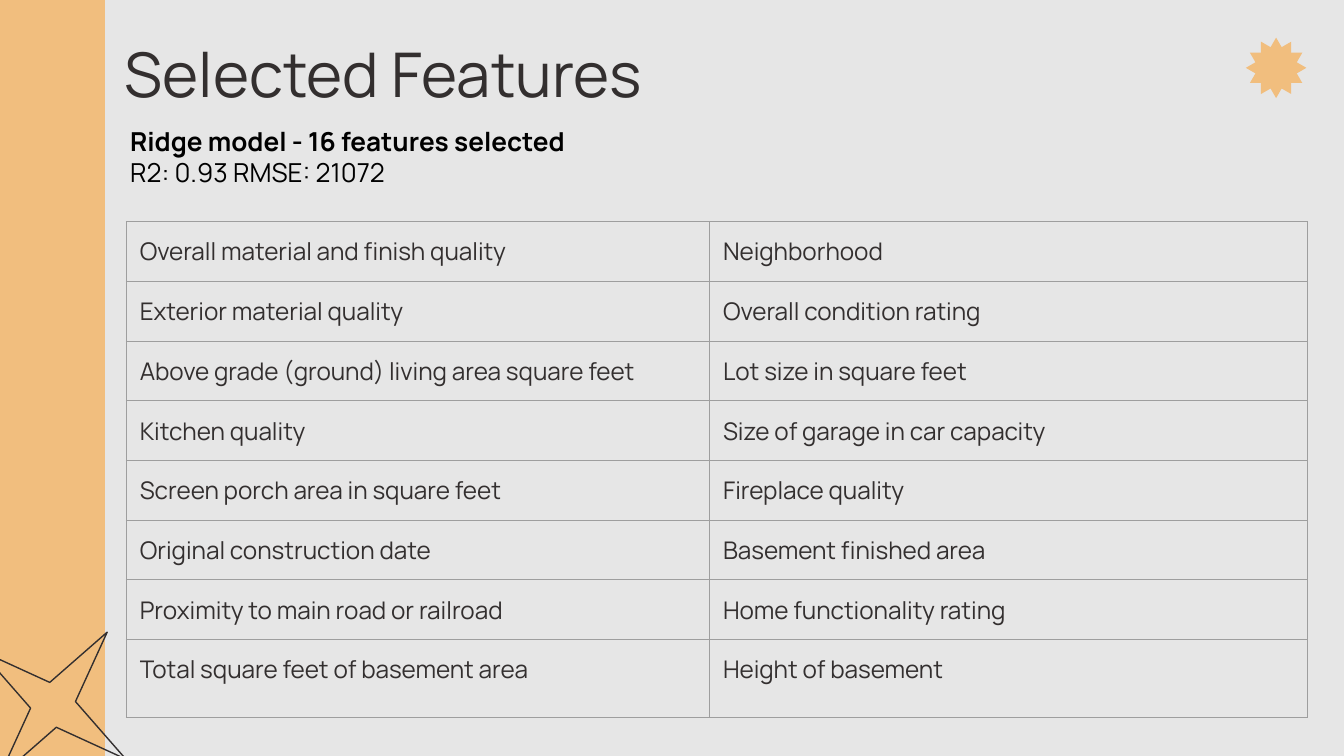
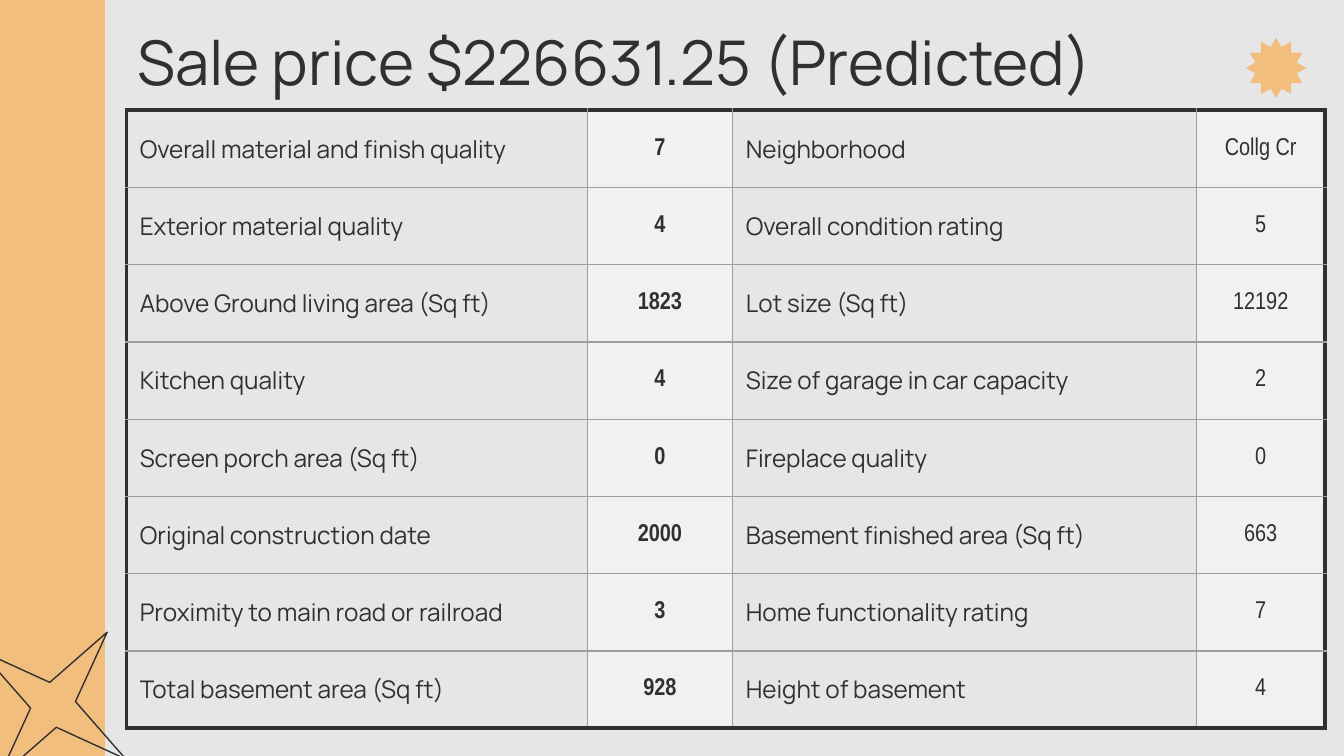
"""Build two slides on house price features: the selected list and one predicted sale."""
from dataclasses import dataclass

from lxml.etree import SubElement
from pptx import Presentation
from pptx.dml.color import RGBColor as Color
from pptx.enum.shapes import MSO_SHAPE as Shape
from pptx.enum.text import MSO_ANCHOR as Anchor, MSO_AUTO_SIZE as AutoSize, PP_ALIGN as Align
from pptx.oxml import parse_xml
from pptx.oxml.ns import nsdecls, qn
from pptx.util import Inches, Pt


@dataclass(frozen=True)
class Theme:
    paper: str = "E6E6E6"
    accent: str = "F1BE7E"
    ink: str = "332F2F"
    black: str = "000000"
    white: str = "FFFFFF"
    rule: str = "9E9E9E"
    body_font: str = "Manrope"
    value_font: str = "Arial Narrow"
    title_size: float = 33
    subtitle_size: float = 14
    cell_size: float = 13
    thin: float = 0.75
    thick: float = 2.25
    inset: float = 0.1
    value_opacity: int = 45


theme = Theme()
page_width = 10
page_height = page_width * 9 / 16


def write(para, text, size, color=theme.ink, **format_values):
    span = para.add_run()
    span.text = text
    values = {"name": theme.body_font, "size": Pt(size), "bold": False} | format_values
    for name, value in values.items():
        setattr(span.font, name, value)
    span.font.color.rgb = Color.from_string(color)


def set_values(target, values):
    for name, value in values.items():
        setattr(target, name, value)


margins = {f"margin_{side}": Inches(theme.inset) for side in ("left", "right", "top", "bottom")}

pages = [
    {
        "title": "Selected Features",
        "title_at": (0.83, 0.23),
        "subtitle": [("Ridge model - 16 features selected", True), ("R2: 0.93 RMSE: 21072", False)],
        "table_at": (0.94, 1.65),
        "columns": [4.34, 4.45],
        "row_heights": [3.11 / 7] * 7 + [0.58],
        "anchor": Anchor.TOP,
        "value_columns": {},
        "frame": theme.rule,
        "frame_width": theme.thin,
        "rows": [
            ("Overall material and finish quality", "Neighborhood"),
            ("Exterior material quality", "Overall condition rating"),
            ("Above grade (ground) living area square feet", "Lot size in square feet"),
            ("Kitchen quality", "Size of garage in car capacity"),
            ("Screen porch area in square feet", "Fireplace quality"),
            ("Original construction date", "Basement finished area"),
            ("Proximity to main road or railroad", "Home functionality rating"),
            ("Total square feet of basement area", "Height of basement"),
        ],
    },
    {
        "title": "Sale price $226631.25 (Predicted)",
        "title_at": (0.92, 0.14),
        "subtitle": [],
        "table_at": (0.94, 0.82),
        "columns": [3.43, 1.08, 3.45, 0.96],
        "row_heights": [4.6 / 8] * 8,
        "anchor": Anchor.MIDDLE,
        "value_columns": {1: True, 3: False},
        "frame": theme.ink,
        "frame_width": theme.thick,
        "rows": [
            ("Overall material and finish quality", "7", "Neighborhood", "Collg Cr"),
            ("Exterior material quality", "4", "Overall condition rating", "5"),
            ("Above Ground living area (Sq ft)", "1823", "Lot size (Sq ft)", "12192"),
            ("Kitchen quality", "4", "Size of garage in car capacity", "2"),
            ("Screen porch area (Sq ft)", "0", "Fireplace quality", "0"),
            ("Original construction date", "2000", "Basement finished area (Sq ft)", "663"),
            ("Proximity to main road or railroad", "3", "Home functionality rating", "7"),
            ("Total basement area (Sq ft)", "928", "Height of basement", "4"),
        ],
    },
]

deck = Presentation()
deck.slide_width = Inches(page_width)
deck.slide_height = Inches(page_height)

layout = deck.slide_layouts.get_by_name("Title Only")
for holder in list(layout.placeholders):
    if holder.placeholder_format.idx:
        layout.shapes.element.remove(holder.element)
layout.background.fill.solid()
layout.background.fill.fore_color.rgb = Color.from_string(theme.paper)
slides = [deck.slides.add_slide(layout) for _ in pages]

decorations = [
    (Shape.RECTANGLE, (0, 0, 0.78, page_height), 0, True),
    (Shape.STAR_6_POINT, (9.3, 0.28, 0.39, 0.45), 0, True),
    (Shape.STAR_6_POINT, (9.3, 0.28, 0.39, 0.45), 30, True),
    (Shape.STAR_4_POINT, (-0.28, 4.57, 1.35, 1.35), 36.7, False),
]
for kind, place, angle, filled in decorations:
    ornament = slides[0].shapes.add_shape(kind, *map(Inches, place))
    ornament.rotation = angle
    ornament.shadow.inherit = False
    if filled:
        ornament.fill.solid()
        ornament.fill.fore_color.rgb = Color.from_string(theme.accent)
        ornament.line.fill.background()
    else:
        ornament.adjustments[0] = 0.125
        ornament.fill.background()
        ornament.line.color.rgb = Color.from_string(theme.ink)
        ornament.line.width = Pt(theme.thin)
    layout.shapes.element.append(ornament.element)

for slide, page in zip(slides, pages):
    title = slide.shapes.title
    left, top = page["title_at"]
    set_values(title, {"left": Inches(left), "top": Inches(top),
                       "width": Inches(9.23), "height": Inches(0.63)})
    set_values(title.text_frame, margins | {"word_wrap": True, "auto_size": AutoSize.NONE,
                                            "vertical_anchor": Anchor.MIDDLE})
    para = title.text_frame.paragraphs[0]
    para.alignment = Align.LEFT
    write(para, page["title"], theme.title_size)

    if page["subtitle"]:
        box = slide.shapes.add_textbox(*map(Inches, (0.87, 0.83, 3.77, 0.67)))
        frame = box.text_frame
        set_values(frame, margins | {"word_wrap": True, "auto_size": AutoSize.SHAPE_TO_FIT_TEXT})
        for index, (text, bold) in enumerate(page["subtitle"]):
            para = frame.add_paragraph() if index else frame.paragraphs[0]
            write(para, text, theme.subtitle_size, theme.black, bold=bold)

    rows, columns, heights = page["rows"], page["columns"], page["row_heights"]
    size = (sum(columns), sum(heights))
    table = slide.shapes.add_table(len(rows), len(columns),
                                   *map(Inches, page["table_at"] + size)).table
    set_values(table, {"first_row": False, "horz_banding": False})
    for column, width in zip(table.columns, columns):
        column.width = Inches(width)
    for row, height in zip(table.rows, heights):
        row.height = Inches(height)

    for row_index, row in enumerate(rows):
        for column_index, text in enumerate(row):
            cell = table.cell(row_index, column_index)
            set_values(cell, margins | {"vertical_anchor": page["anchor"]})
            para = cell.text_frame.paragraphs[0]
            properties = cell._tc.get_or_add_tcPr()
            if column_index in page["value_columns"]:
                para.alignment = Align.CENTER
                write(para, text, theme.cell_size, name=theme.value_font,
                      bold=page["value_columns"][column_index])
                cell.fill.solid()
                cell.fill.fore_color.rgb = Color.from_string(theme.white)
                tint = properties.find(".//" + qn("a:srgbClr"))
                SubElement(tint, qn("a:alpha"), val=str(theme.value_opacity * 1000))
            else:
                write(para, text, theme.cell_size)
                cell.fill.background()

            outer_edges = {
                "lnL": column_index == 0,
                "lnR": column_index == len(columns) - 1,
                "lnT": row_index == 0,
                "lnB": row_index == len(rows) - 1,
            }
            for order, (edge, outer) in enumerate(outer_edges.items()):
                color = page["frame"] if outer else theme.rule
                width = Pt(page["frame_width"] if outer else theme.thin)
                properties.insert(order, parse_xml(
                    f'<a:{edge} {nsdecls("a")} w="{width}"><a:solidFill>'
                    f'<a:srgbClr val="{color}"/></a:solidFill></a:{edge}>'))

deck.save("out.pptx")
